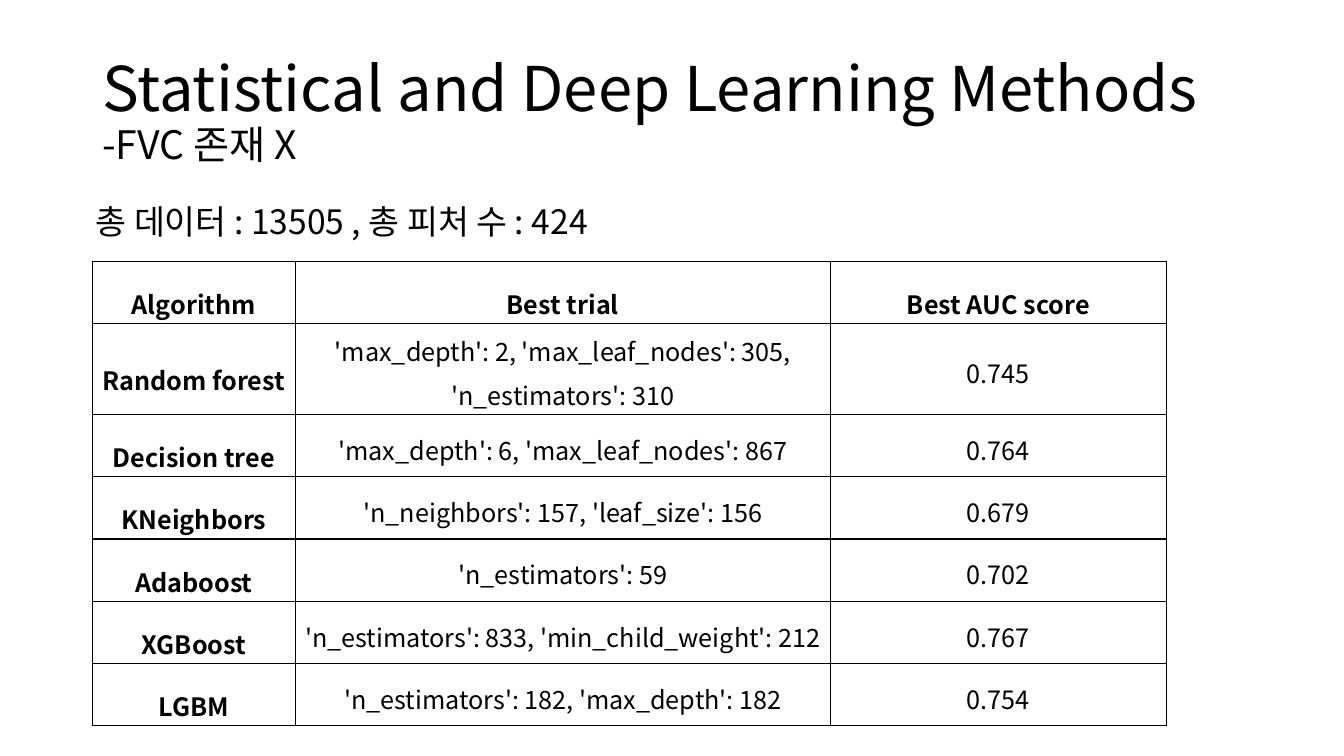
import pptx
import pptx.dml.color
import pptx.enum.text
import pptx.oxml
import pptx.oxml.ns
import pptx.util
from dataclasses import dataclass

Cm = pptx.util.Cm
Pt = pptx.util.Pt
ALIGN = pptx.enum.text.PP_ALIGN
ANCHOR = pptx.enum.text.MSO_ANCHOR


@dataclass(frozen=True)
class Theme:
    font: str = "Noto Sans CJK KR"
    ink: str = "000000"
    title_size: int = 44
    subtitle_size: int = 28
    summary_size: int = 24
    table_size: int = 18
    border_width: int = 1


def write_text(paragraph, text, *, theme, size, bold=False, align=ALIGN.LEFT, spacing=0.9):
    """Add one formatted run to the paragraph."""
    paragraph.alignment = align
    paragraph.line_spacing = spacing
    run = paragraph.add_run()
    run.text = text
    run.font.name = theme.font
    run.font.size = Pt(size)
    run.font.bold = bold
    run.font.color.rgb = pptx.dml.color.RGBColor.from_string(theme.ink)
    # Korean letters take their font from the East Asian slot
    east_asian = pptx.oxml.parse_xml(
        f'<a:ea {pptx.oxml.ns.nsdecls("a")} typeface="{theme.font}"/>')
    run.font._element.append(east_asian)


class SlideBuilder:
    def __init__(self, slide, theme):
        self.slide = slide
        self.theme = theme

    def text_box(self, left, top, width, height, lines):
        """Place (text, size) lines in one paragraph, separated by line breaks."""
        shape = self.slide.shapes.add_textbox(Cm(left), Cm(top), Cm(width), Cm(height))
        frame = shape.text_frame
        frame.word_wrap = True
        frame.vertical_anchor = ANCHOR.MIDDLE
        paragraph = frame.paragraphs[0]
        for index, (text, size) in enumerate(lines):
            if index:
                paragraph.add_line_break()
            write_text(paragraph, text, theme=self.theme, size=size)

    def table(self, left, top, column_widths, row_heights, rows):
        shape = self.slide.shapes.add_table(
            len(rows), len(column_widths), Cm(left), Cm(top),
            Cm(sum(column_widths)), Cm(sum(row_heights)))
        table = shape.table
        table.horz_banding = False
        for column, width in zip(table.columns, column_widths):
            column.width = Cm(width)
        for row, height in zip(table.rows, row_heights):
            row.height = Cm(height)
        for row_index, values in enumerate(rows):
            for column_index, text in enumerate(values):
                is_heading = row_index == 0 or column_index == 0
                self.cell(table.cell(row_index, column_index), text, is_heading)

    def cell(self, cell, text, is_heading):
        cell.fill.background()
        cell.vertical_anchor = ANCHOR.MIDDLE
        cell.margin_left = cell.margin_right = Cm(0.18)
        cell.margin_top = cell.margin_bottom = Cm(0.05)
        write_text(cell.text_frame.paragraphs[0], text, theme=self.theme,
                   size=self.theme.table_size, bold=is_heading,
                   align=ALIGN.CENTER, spacing=1.6 if is_heading else 1.2)
        # Borders come before the fill in the cell properties
        properties = cell._tc.get_or_add_tcPr()
        for position, side in enumerate(("lnL", "lnR", "lnT", "lnB")):
            properties.insert(position, pptx.oxml.parse_xml(
                f'<a:{side} {pptx.oxml.ns.nsdecls("a")} w="{Pt(self.theme.border_width)}">'
                f'<a:solidFill><a:srgbClr val="{self.theme.ink}"/></a:solidFill></a:{side}>'))


RESULTS = [
    ("Algorithm", "Best trial", "Best AUC score"),
    ("Random forest", "'max_depth': 2, 'max_leaf_nodes': 305, 'n_estimators': 310", "0.745"),
    ("Decision tree", "'max_depth': 6, 'max_leaf_nodes': 867", "0.764"),
    ("KNeighbors", "'n_neighbors': 157, 'leaf_size': 156", "0.679"),
    ("Adaboost", "'n_estimators': 59", "0.702"),
    ("XGBoost", "'n_estimators': 833, 'min_child_weight': 212", "0.767"),
    ("LGBM", "'n_estimators': 182, 'max_depth': 182", "0.754"),
]


def main():
    presentation = pptx.Presentation()
    presentation.slide_width = Cm(33.87)
    presentation.slide_height = Cm(19.05)
    slide = presentation.slides.add_slide(presentation.slide_layouts[6])
    theme = Theme()
    builder = SlideBuilder(slide, theme)

    # Title and subtitle
    builder.text_box(2.33, 1.01, 29.21, 3.68, [
        ("Statistical and Deep Learning Methods", theme.title_size),
        ("-FVC 존재 X", theme.subtitle_size),
    ])

    # Results table: only the two-line trial needs a taller row
    row_heights = [1.57, 2.29] + [1.57] * 5
    builder.table(2.33, 6.58, [5.11, 13.49, 8.46], row_heights, RESULTS)

    # Data summary
    builder.text_box(2.16, 4.45, 29.21, 2.39, [
        ("총 데이터 : 13505 , 총 피처 수 : 424", theme.summary_size),
    ])

    presentation.save("out.pptx")


if __name__ == "__main__":
    main()
